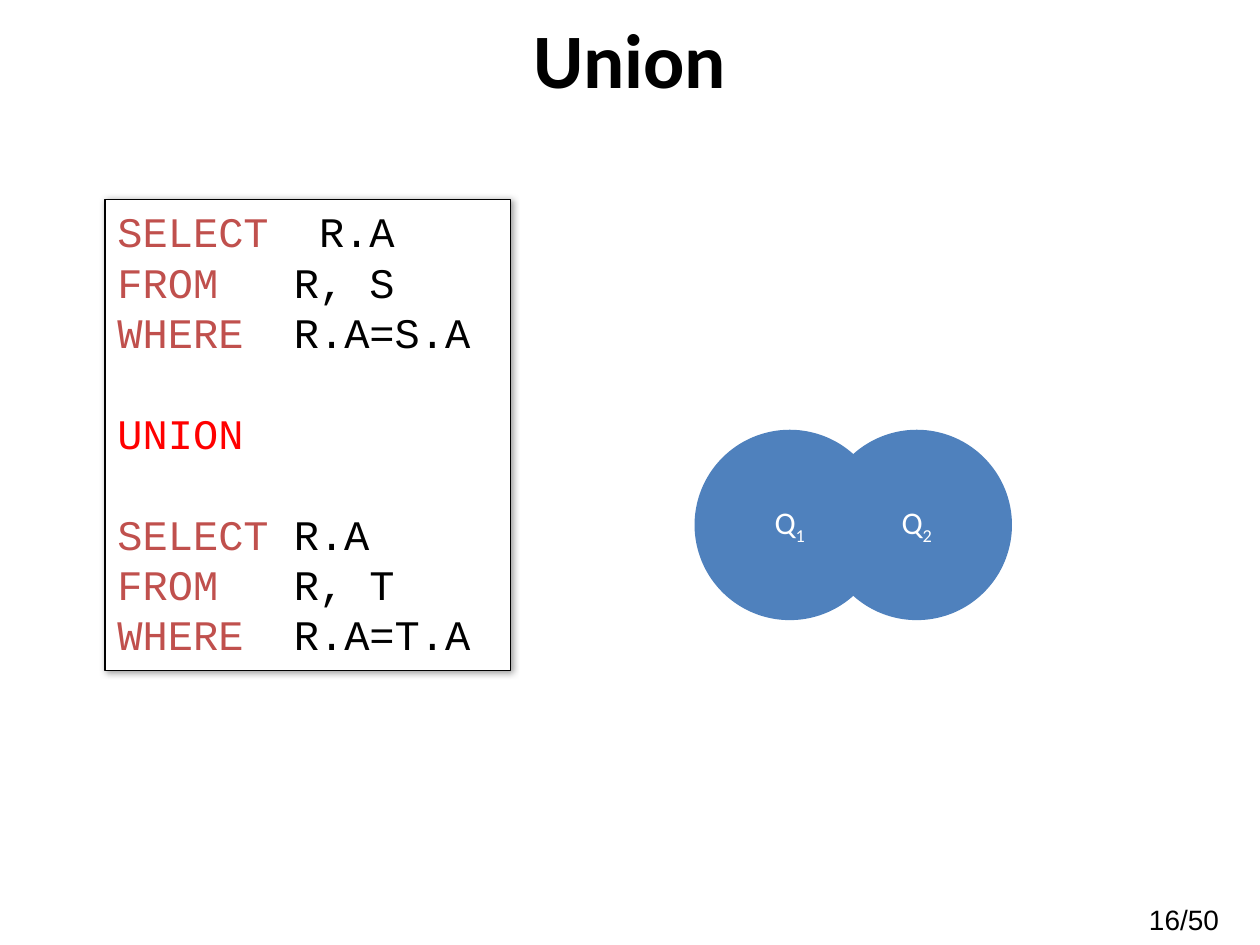
from lxml import etree
from pptx import Presentation
from pptx.dml.color import RGBColor
from pptx.enum.shapes import MSO_SHAPE as SHAPE
from pptx.enum.text import MSO_ANCHOR as ANCHOR, PP_ALIGN as ALIGN
from pptx.oxml import parse_xml
from pptx.oxml.ns import nsdecls
from pptx.util import Pt

BLACK = RGBColor(0x00, 0x00, 0x00)
WHITE = RGBColor(0xFF, 0xFF, 0xFF)
BLUE = RGBColor(0x4F, 0x81, 0xBD)
BRICK = RGBColor(0xC0, 0x50, 0x4D)
RED = RGBColor(0xFF, 0x00, 0x00)

TITLE = "Union"
PAGE = "16/50 "
# (keyword, colour, rest of the line, gap before)
LINE_GAP = 28.8
QUERY = [
    ("SELECT", BRICK, "  R.A", 0),
    ("FROM", BRICK, "   R, S", 0),
    ("WHERE", BRICK, "  R.A=S.A", 0),
    ("UNION", RED, "", LINE_GAP),
    ("SELECT", BRICK, " R.A", LINE_GAP),
    ("FROM", BRICK, "   R, T", 0),
    ("WHERE", BRICK, "  R.A=T.A", 0),
]
SETS = ["1", "2"]
CIRCLE_LEFT, CIRCLE_TOP, DIAMETER, CIRCLE_STEP = 396.9, 245.6, 108.8, 72.6

SHADOW = (
    f'<a:outerShdw {nsdecls("a")} blurRad="{Pt(4)}" dist="{Pt(1)}" '
    'dir="2700000" algn="tl" rotWithShape="0"><a:srgbClr val="000000">'
    '<a:alpha val="40000"/></a:srgbClr></a:outerShdw>'
)


def set_font(font, name, size, color, bold=False):
    font.name, font.size, font.bold = name, Pt(size), bold
    font.color.rgb = color


def add_label(slide, text, box, name, size, bold=False, anchor=ANCHOR.TOP):
    tf = slide.shapes.add_textbox(*map(Pt, box)).text_frame
    tf.word_wrap = True
    tf.vertical_anchor = anchor
    p = tf.paragraphs[0]
    p.text = text
    p.alignment = ALIGN.CENTER
    set_font(p.font, name, size, BLACK, bold)


def add_query(slide):
    sp = slide.shapes.add_shape(SHAPE.RECTANGLE, *map(Pt, (60, 114, 231.8, 269.3)))
    sp.fill.solid()
    sp.fill.fore_color.rgb = WHITE
    sp.line.color.rgb = BLACK
    sp.line.width = Pt(0.75)
    sp.shadow.inherit = False
    effects = sp.fill._xPr.find("{*}effectLst")
    effects.append(parse_xml(SHADOW))
    tf = sp.text_frame
    tf.word_wrap = True
    tf.vertical_anchor = ANCHOR.TOP
    for i, (keyword, color, rest, gap) in enumerate(QUERY):
        p = tf.paragraphs[0] if i == 0 else tf.add_paragraph()
        p.alignment = ALIGN.LEFT
        if gap:
            p.space_before = Pt(gap)
        p.font.name, p.font.size = "Courier New", Pt(24)
        for text, run_color in ((keyword, color), (rest, BLACK)):
            if text:
                r = p.add_run()
                r.text = text
                r.font.color.rgb = run_color


def add_circles(slide):
    group = slide.shapes.add_group_shape()
    for i, index in enumerate(SETS):
        sp = group.shapes.add_shape(
            SHAPE.OVAL, Pt(CIRCLE_LEFT + i * CIRCLE_STEP), Pt(CIRCLE_TOP),
            Pt(DIAMETER), Pt(DIAMETER))
        sp.shadow.inherit = False
        sp.fill.solid()
        sp.fill.fore_color.rgb = BLUE
        sp.line.fill.background()
        sp.text_frame.vertical_anchor = ANCHOR.MIDDLE
        p = sp.text_frame.paragraphs[0]
        p.alignment = ALIGN.CENTER
        set_font(p.font, "Calibri", 18, WHITE)
        p.add_run().text = "Q"
        r = p.add_run()
        r.text = index
        r.font._element.set("baseline", "-25000")


def main():
    prs = Presentation()
    prs.slide_width, prs.slide_height = Pt(720), Pt(540)
    slide = prs.slides.add_slide(prs.slide_layouts[6])
    add_label(slide, TITLE, (18, 6, 684, 54), "Calibri", 44, True, ANCHOR.MIDDLE)
    add_label(slide, PAGE, (637, 512, 83.5, 28), "Arial", 16)
    add_query(slide)
    add_circles(slide)
    prs.save("out.pptx")


if __name__ == "__main__":
    main()
